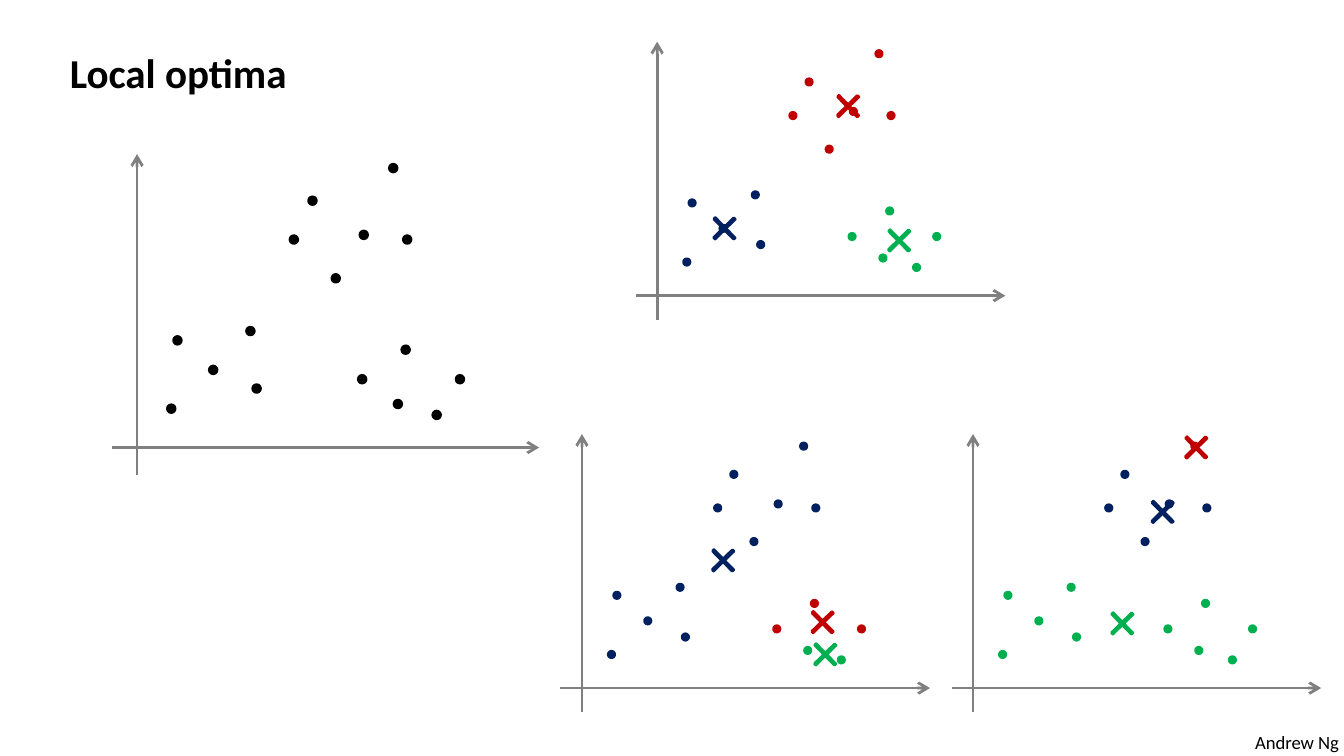
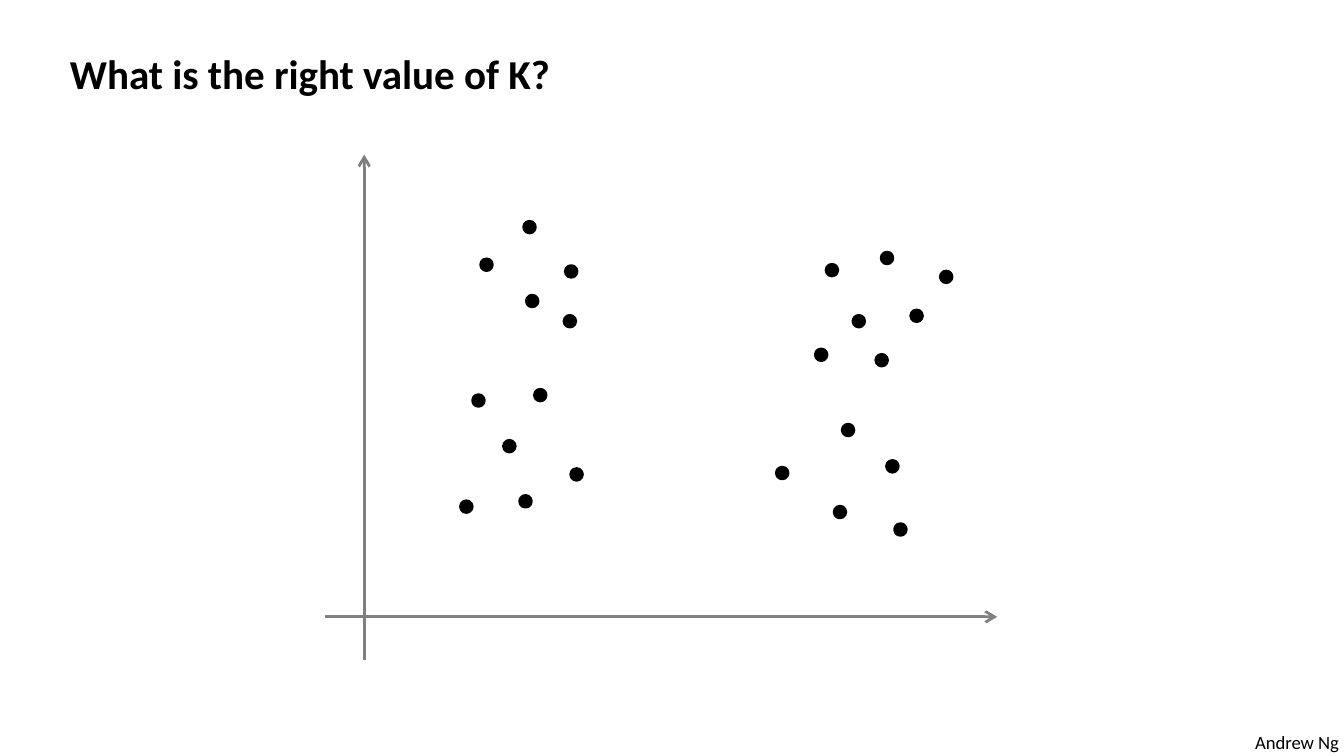
from dataclasses import dataclass

from lxml import etree
from pptx import Presentation
from pptx.dml.color import RGBColor
from pptx.enum.shapes import MSO_CONNECTOR, MSO_SHAPE
from pptx.enum.text import MSO_ANCHOR, MSO_AUTO_SIZE, PP_ALIGN
from pptx.oxml.ns import qn
from pptx.util import Inches, Pt

ELLIPSE, CROSS, STRAIGHT = MSO_SHAPE.OVAL, MSO_SHAPE.CROSS, MSO_CONNECTOR.STRAIGHT
LEFT, TOP, GROW = PP_ALIGN.LEFT, MSO_ANCHOR.TOP, MSO_AUTO_SIZE.SHAPE_TO_FIT_TEXT
TITLE_ONLY = 5

# The slide is a grid of square cells, 100 columns wide
COLUMNS, ROWS = 100, 56.25


@dataclass(frozen=True)
class Theme:
    font: str = "Calibri"
    title_size: int = 22
    footer_size: int = 10
    axis_width: float = 1.5
    cross_width: float = 1.5
    dot_width: float = 2
    black: RGBColor = RGBColor(0, 0, 0)
    grey: RGBColor = RGBColor(0x80, 0x80, 0x80)
    red: RGBColor = RGBColor(0xC0, 0, 0)
    green: RGBColor = RGBColor(0, 0xB0, 0x50)
    blue: RGBColor = RGBColor(0, 0x20, 0x60)


THEME = Theme()
RED, GREEN, BLUE, BLACK = THEME.red, THEME.green, THEME.blue, THEME.black

# Points as (right, up) in cells from the origin of their axes
LOW_LEFT = [(2.2, 2.5), (4.9, 5.0), (7.3, 7.5), (7.7, 3.8), (2.6, 6.9)]
UPPER = [(10.1, 13.4), (14.6, 13.7), (16.5, 18.0), (11.3, 15.9),
         (17.4, 13.4), (12.8, 10.9)]
LOW_RIGHT = [(20.8, 4.4), (17.3, 6.3), (19.3, 2.1), (16.8, 2.8), (14.5, 4.4)]
SAMPLES = LOW_LEFT + UPPER + LOW_RIGHT

# Origin, colour of each sample, and centroids of every clustering result
CLUSTERINGS = [
    ((48.9, 22),
     [BLUE] * 5 + [RED] * 6 + [GREEN] * 5,
     {RED: (14.2, 14.1), GREEN: (18, 4.1), BLUE: (5, 5)}),
    ((43.3, 51.2),
     [BLUE] * 11 + [RED] * 2 + [GREEN] * 2 + [RED],
     {RED: (17.9, 4.9), GREEN: (18.1, 2.5), BLUE: (10.5, 9.5)}),
    ((72.4, 51.2),
     [GREEN] * 5 + [BLUE] * 2 + [RED] + [BLUE] * 3 + [GREEN] * 5,
     {RED: (16.6, 17.9), GREEN: (11.1, 4.8), BLUE: (14.1, 13.1)}),
]

AMBIGUOUS_SAMPLES = [
    (7.6, 8.2), (10.8, 12.7), (13.1, 16.5), (15.8, 10.6), (8.5, 16.1),
    (12.3, 29), (15.4, 25.7), (12.5, 23.5), (9.1, 26.2), (15.3, 22),
    (12, 8.6), (39.3, 11.2), (36, 13.9), (39.9, 6.5), (35.4, 7.8),
    (31.1, 10.7), (41.1, 22.4), (34.8, 25.8), (38.5, 19.1), (34, 19.5),
    (36.8, 22), (43.3, 25.3), (38.9, 26.7),
]


@dataclass(frozen=True)
class Axes:
    """Reach of the two axes on each side of the origin, in cells."""
    left: float
    right: float
    below: float
    above: float


CLUSTER_AXES = Axes(left=1.6, right=25.9, below=1.8, above=18.9)
AMBIGUOUS_AXES = Axes(left=2.9, right=47.1, below=3.2, above=34.4)


def cells(*counts):
    return [Inches(count / 10) for count in counts]


def apply(target, formats):
    for attribute, value in formats.items():
        setattr(target, attribute, value)


def style_text(frame, text, size, bold, wrap):
    frame.text = text
    apply(frame, dict(word_wrap=wrap, auto_size=GROW, vertical_anchor=TOP))
    paragraph = frame.paragraphs[0]
    paragraph.alignment = LEFT
    apply(paragraph.font, dict(name=THEME.font, size=Pt(size), bold=bold))
    paragraph.font.color.rgb = THEME.black


def add_titled_slide(deck, title, top):
    slide = deck.slides.add_slide(deck.slide_layouts[TITLE_ONLY])
    heading = slide.shapes.title
    left, top, width, height = cells(4.2, top, 90.8, 4.7)
    apply(heading, dict(left=left, top=top, width=width, height=height))
    style_text(heading.text_frame, title, THEME.title_size, True, True)
    return slide


def share_footer(slide, text):
    """Place the footer on the layout, so that all its slides show it."""
    footer = slide.shapes.add_textbox(*cells(92.4, 53.9, 8.4, 2.7))
    style_text(footer.text_frame, text, THEME.footer_size, False, False)
    slide.slide_layout.shapes.element.append(footer.element)


def add_axis(canvas, start, end):
    axis = canvas.add_connector(STRAIGHT, *cells(*start, *end))
    axis.line.color.rgb = THEME.grey
    axis.line.width = Pt(THEME.axis_width)
    etree.SubElement(axis.get_or_add_ln(), qn("a:tailEnd"), type="arrow")
    etree.SubElement(axis.element.spPr, qn("a:effectLst"))


def add_axes(canvas, origin, axes, scale=1):
    x, y = origin
    add_axis(canvas, (x, y + axes.below * scale), (x, y - axes.above * scale))
    add_axis(canvas, (x - axes.left * scale, y), (x + axes.right * scale, y))


def add_mark(canvas, kind, origin, point, size, color, line_width, scale=1):
    """Centre a mark on a point measured from the origin."""
    left = origin[0] + point[0] * scale - size / 2
    top = origin[1] - point[1] * scale - size / 2
    mark = canvas.add_shape(kind, *cells(left, top, size, size))
    mark.shadow.inherit = False
    mark.fill.solid()
    mark.fill.fore_color.rgb = color
    mark.line.color.rgb = color
    mark.line.width = Pt(line_width)
    return mark


def add_dots(canvas, origin, points, colors, size, scale=1):
    for point, color in zip(points, colors):
        add_mark(canvas, ELLIPSE, origin, point, size, color,
                 THEME.dot_width, scale)


def add_centroid(canvas, origin, point, color):
    centroid = add_mark(canvas, CROSS, origin, point, 2.1, color,
                        THEME.cross_width)
    centroid.adjustments[0] = 0.466
    centroid.rotation = 45.6


def add_cluster_plot(slide, origin, colors, centroids, dot_size=0.4, scale=1):
    canvas = slide.shapes.add_group_shape().shapes
    for color, point in centroids.items():
        add_centroid(canvas, origin, point, color)
    add_axes(canvas, origin, CLUSTER_AXES, scale)
    add_dots(canvas, origin, SAMPLES, colors, dot_size, scale)


def main():
    deck = Presentation()
    deck.slide_width, deck.slide_height = cells(COLUMNS, ROWS)

    # Unlabelled samples beside three clustering results
    optima = add_titled_slide(deck, "Local optima", top=3)
    share_footer(optima, "Andrew Ng")
    add_cluster_plot(optima, (10.2, 33.3), [BLACK] * len(SAMPLES), {},
                     dot_size=0.5, scale=1.155)
    for origin, colors, centroids in CLUSTERINGS:
        add_cluster_plot(optima, origin, colors, centroids)

    # Samples with no obvious number of clusters
    choice = add_titled_slide(deck, "What is the right value of K?", top=3.1)
    origin = (27.1, 45.9)
    add_axes(choice.shapes, origin, AMBIGUOUS_AXES)
    add_dots(choice.shapes, origin, AMBIGUOUS_SAMPLES,
             [BLACK] * len(AMBIGUOUS_SAMPLES), size=0.8)

    deck.save("out.pptx")


if __name__ == "__main__":
    main()
